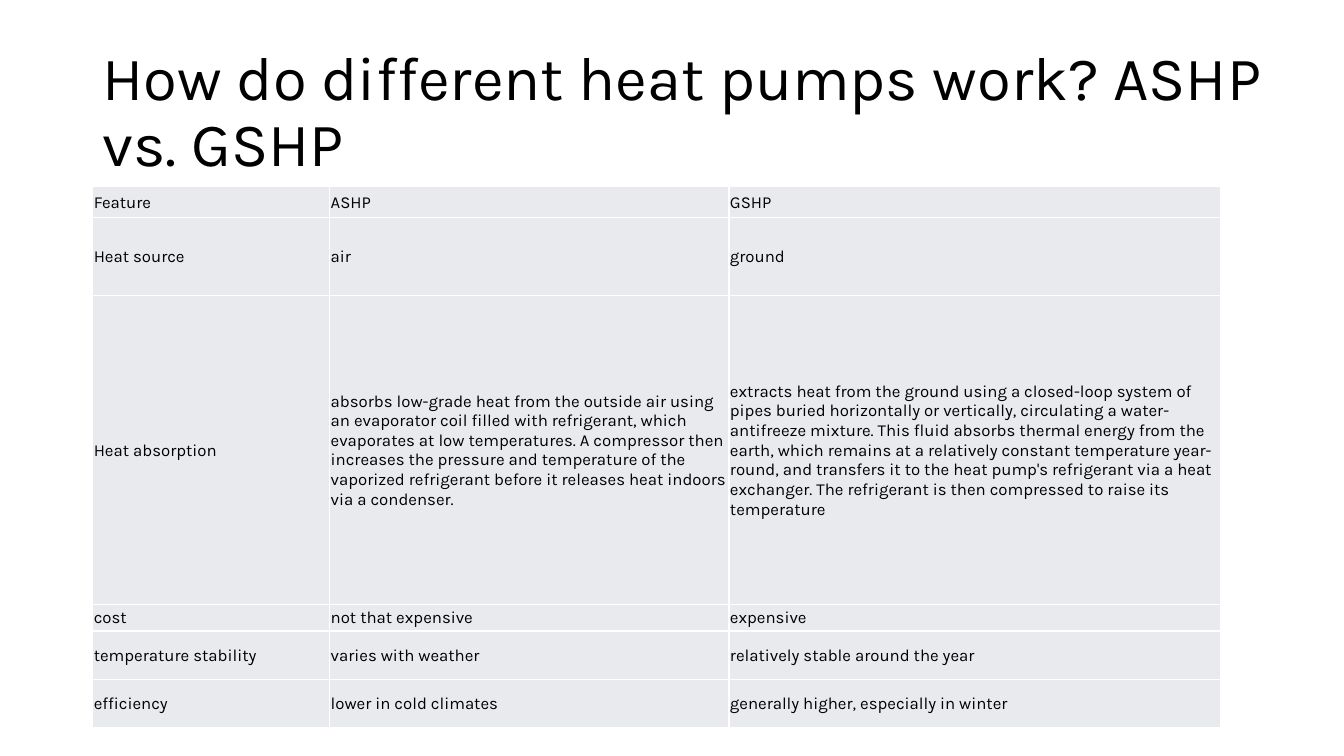
from lxml import etree
from pptx import Presentation
from pptx.dml.color import RGBColor
from pptx.enum import text
from pptx.oxml import ns
from pptx.util import Inches, Pt

TITLE = "How do different heat pumps work? ASHP vs. GSHP"
ROWS = [
    ("Feature", "ASHP", "GSHP"),
    ("Heat source", "air", "ground"),
    ("Heat absorption",
     "absorbs low-grade heat from the outside air using an evaporator coil "
     "filled with refrigerant, which evaporates at low temperatures. A "
     "compressor then increases the pressure and temperature of the vaporized "
     "refrigerant before it releases heat indoors via a condenser.",
     "extracts heat from the ground using a closed-loop system of pipes buried "
     "horizontally or vertically, circulating a water-antifreeze mixture. This "
     "fluid absorbs thermal energy from the earth, which remains at a "
     "relatively constant temperature year-round, and transfers it to the heat "
     "pump's refrigerant via a heat exchanger. The refrigerant is then "
     "compressed to raise its temperature"),
    ("cost", "not that expensive", "expensive"),
    ("temperature stability", "varies with weather",
     "relatively stable around the year"),
    ("efficiency", "lower in cold climates",
     "generally higher, especially in winter"),
]
COL_WIDTHS = (2.35, 3.96, 4.88)
ROW_HEIGHTS = (0.31, 0.77, 3.07, 0.26, 0.48, 0.48)
LEFT, TITLE_TOP, TABLE_TOP = 0.92, 0.4, 1.85
TITLE_WIDTH = 12.24

THEME = {"font": "Karla", "title": 44, "body": 12, "ink": "000000",
         "cell": "E8EAED", "rule": "FFFFFF", "rule_width": 1}


def write(tf, content, size, line_spacing=None):
    """Put one paragraph of themed text into a text frame."""
    tf.word_wrap = True
    p = tf.paragraphs[0]
    p.line_spacing = line_spacing
    r = p.add_run()
    r.text = content
    r.font.name = THEME["font"]
    r.font.size = Pt(size)
    r.font.color.rgb = RGBColor.from_string(THEME["ink"])


def set_borders(cell):
    """Draw the rule on all four sides, ahead of the cell's fill."""
    tc_pr = cell._tc.get_or_add_tcPr()
    for i, side in enumerate(("lnL", "lnR", "lnT", "lnB")):
        ln = etree.Element(ns.qn("a:" + side), w=str(Pt(THEME["rule_width"])))
        fill = etree.SubElement(ln, ns.qn("a:solidFill"))
        etree.SubElement(fill, ns.qn("a:srgbClr"), val=THEME["rule"])
        tc_pr.insert(i, ln)


prs = Presentation()
prs.slide_width, prs.slide_height = Inches(13.33), Inches(7.5)
slide = prs.slides.add_slide(prs.slide_layouts[6])

# Title
title = slide.shapes.add_textbox(Inches(LEFT), Inches(TITLE_TOP),
                                 Inches(TITLE_WIDTH),
                                 Inches(TABLE_TOP - TITLE_TOP))
title.text_frame.vertical_anchor = text.MSO_ANCHOR.MIDDLE
write(title.text_frame, TITLE, THEME["title"], line_spacing=0.9)

# Comparison table
table = slide.shapes.add_table(len(ROWS), len(COL_WIDTHS), Inches(LEFT),
                               Inches(TABLE_TOP), Inches(sum(COL_WIDTHS)),
                               Inches(sum(ROW_HEIGHTS))).table
table.first_row = table.horz_banding = False
for column, width in zip(table.columns, COL_WIDTHS):
    column.width = Inches(width)
for row, height, contents in zip(table.rows, ROW_HEIGHTS, ROWS):
    row.height = Inches(height)
    for cell, content in zip(row.cells, contents):
        cell.margin_left = cell.margin_right = cell.margin_top = Inches(0.01)
        cell.margin_bottom = 0
        cell.vertical_anchor = text.MSO_ANCHOR.MIDDLE
        cell.fill.solid()
        cell.fill.fore_color.rgb = RGBColor.from_string(THEME["cell"])
        set_borders(cell)
        write(cell.text_frame, content, THEME["body"])

prs.save("out.pptx")
